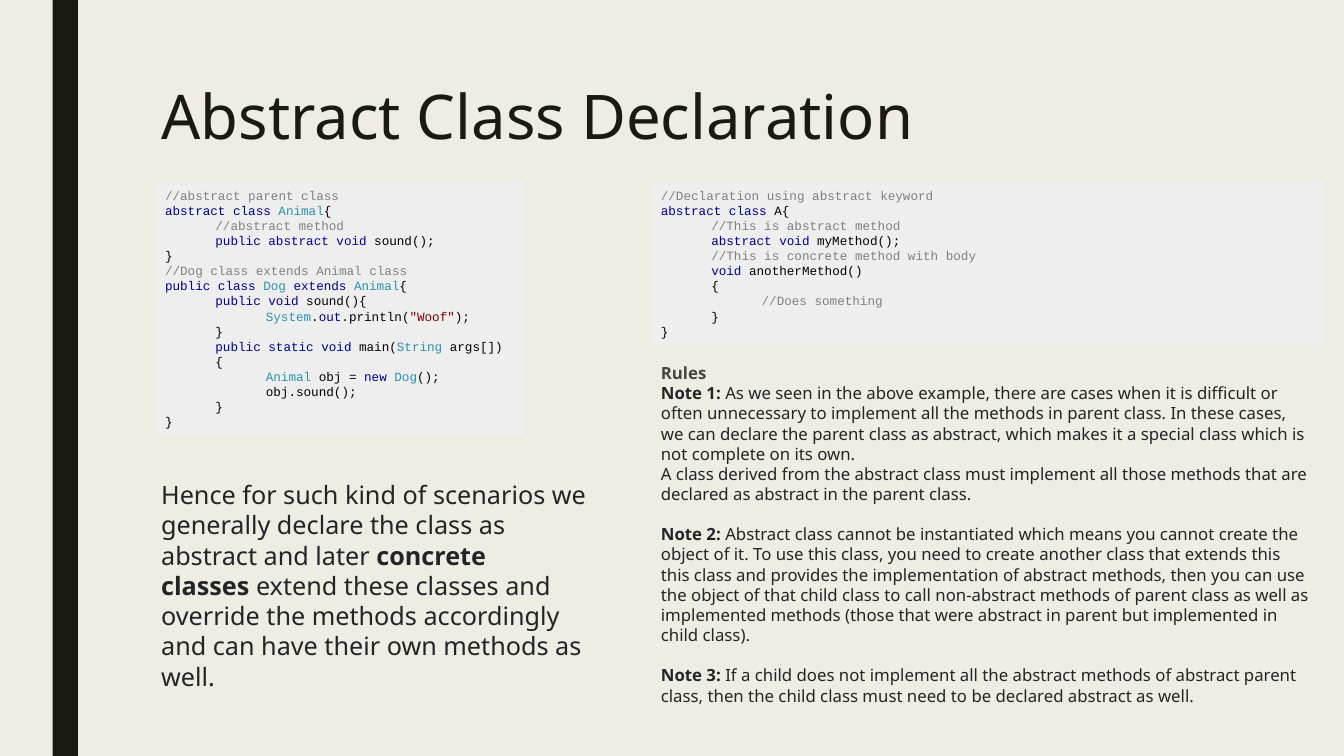
from pptx import Presentation
from pptx.dml.color import RGBColor as RGB
from pptx.enum.shapes import MSO_SHAPE as Form
from pptx.enum.text import MSO_ANCHOR as Anchor, MSO_AUTO_SIZE as Fit, PP_ALIGN as Align
from pptx.util import Pt

PAPER, DARK, PANEL = RGB(0xEF, 0xED, 0xE3), RGB(0x19, 0x1B, 0x0E), RGB(0xEE, 0xEE, 0xEE)
INK, HEAD = RGB(0x22, 0x24, 0x26), RGB(0x44, 0x45, 0x42)
NOTE, KEY, TYPE = RGB(0x80, 0x80, 0x80), RGB(0, 0, 0x8B), RGB(0x2B, 0x91, 0xAF)
TEXT, PLAIN = RGB(0x80, 0, 0), RGB(0, 0, 0)
SANS, MONO = "Noto Sans", "Courier New"
LEAD = 1.2  # line height as a share of the font size

TITLE = "Abstract Class Declaration"

# Each code line: indent level, then (text, colour) parts.
ANIMAL = [
    (0, ("//abstract parent class", NOTE)),
    (0, ("abstract class ", KEY), ("Animal", TYPE), ("{", PLAIN)),
    (1, ("//abstract method", NOTE)),
    (1, ("public abstract void", KEY), (" sound();", PLAIN)),
    (0, ("}", PLAIN)),
    (0, ("//Dog class extends Animal class", NOTE)),
    (0, ("public class ", KEY), ("Dog ", TYPE), ("extends ", KEY),
     ("Animal", TYPE), ("{", PLAIN)),
    (1, ("public void", KEY), (" sound(){", PLAIN)),
    (1, ("\tSystem", TYPE), (".", PLAIN), ("out", KEY), (".println(", PLAIN),
     ('"Woof"', TEXT), (");", PLAIN)),
    (1, ("}", PLAIN)),
    (1, ("public static void", KEY), (" main(", PLAIN), ("String", TYPE),
     (" args[])", PLAIN)),
    (1, ("{", PLAIN)),
    (1, ("\tAnimal", TYPE), (" obj = ", PLAIN), ("new ", KEY), ("Dog", TYPE),
     ("();", PLAIN)),
    (1, ("\tobj.sound();", PLAIN)),
    (1, ("}", PLAIN)),
    (0, ("}", PLAIN)),
]
METHOD = [
    (0, ("//Declaration using abstract keyword", NOTE)),
    (0, ("abstract class", KEY), (" A{", PLAIN)),
    (1, ("//This is abstract method", NOTE)),
    (1, ("abstract void ", KEY), ("myMethod();", PLAIN)),
    (1, ("//This is concrete method with body", NOTE)),
    (1, ("void ", KEY), ("anotherMethod()", PLAIN)),
    (1, ("{", PLAIN)),
    (1, ("\t//Does something", NOTE)),
    (1, ("}", PLAIN)),
    (0, ("}", PLAIN)),
]

# Each prose paragraph: blank lines above, then (text, colour, bold) parts.
HENCE = [
    (0, ("Hence for such kind of scenarios we generally declare the class as "
         "abstract and later\u00a0", INK, False),
     ("concrete classes", INK, True),
     ("\u00a0extend these classes and override the methods accordingly and can "
      "have their own methods as well.", INK, False)),
]
RULES = [
    (0, ("Rules", HEAD, True)),
    (0, ("Note 1:", INK, True),
     ("\u00a0As we seen in the above example, there are cases when it is difficult "
      "or often unnecessary to implement all the methods in parent class. In these "
      "cases, we can declare the parent class as abstract, which makes it a special "
      "class which is not complete on its own.", INK, False)),
    (0, ("A class derived from the abstract class must implement all those methods "
         "that are declared as abstract in the parent class.", INK, False)),
    (1, ("Note 2:", INK, True),
     ("\u00a0Abstract class cannot be instantiated which means you cannot create the "
      "object of it. To use this class, you need to create another class that extends "
      "this this class and provides the implementation of abstract methods, then you "
      "can use the object of that child class to call non-abstract methods of parent "
      "class as well as implemented methods (those that were abstract in parent but "
      "implemented in child class).", INK, False)),
    (1, ("Note 3:", INK, True),
     ("\u00a0If a child does not implement all the abstract methods of abstract parent "
      "class, then the child class must need to be declared abstract as well.",
      INK, False)),
]

WIDE, HIGH = 960, 540
LEFT, RIGHT, TOP = 108, 465, 129.6  # column edges and top of the code panels
SPAN = 480.24  # width of the right column


def place(box):
    """Turn a box in points into lengths."""
    return [Pt(side) for side in box]


def block(box, fill):
    """Add a plain filled rectangle."""
    shape = page.shapes.add_shape(Form.RECTANGLE, *place(box))
    shape.shadow.inherit = False
    shape.fill.solid()
    shape.fill.fore_color.rgb = fill
    shape.line.fill.background()
    return shape


def style(run, font, size, color, bold=False):
    """Format one run."""
    run.font.name, run.font.size, run.font.bold = font, Pt(size), bold
    run.font.color.rgb = color


def write(frame, lines, font, size):
    """Fill a frame with paragraphs of parts and yield each with its number."""
    frame.word_wrap = True
    for i, (num, *parts) in enumerate(lines):
        para = frame.paragraphs[0] if i == 0 else frame.add_paragraph()
        para.alignment = Align.LEFT
        para.line_spacing = Pt(size * LEAD)
        for text, *look in parts:
            run = para.add_run()
            run.text = text
            style(run, font, size, *look)
        yield para, num


def code(box, lines):
    """Add a code panel whose numbers are indent levels."""
    frame = block(box, PANEL).text_frame
    frame.vertical_anchor = Anchor.MIDDLE
    frame.margin_top = frame.margin_bottom = 0
    for para, level in write(frame, lines, MONO, 9):
        props = para._p.get_or_add_pPr()
        props.set("marL", str(Pt(36 * level)))
        props.set("indent", "0")


def prose(box, lines, size):
    """Add a text box whose numbers are blank lines above."""
    frame = page.shapes.add_textbox(*place(box)).text_frame
    for para, gap in write(frame, lines, SANS, size):
        para.space_before = Pt(gap * size * LEAD)


deck = Presentation()
deck.slide_width, deck.slide_height = Pt(WIDE), Pt(HIGH)
page = deck.slides.add_slide(deck.slide_layouts[5])
page.background.fill.solid()
page.background.fill.fore_color.rgb = PAPER

block((37.6, 0, 18, HIGH), DARK)

title = page.shapes.title
title.left, title.top, title.width, title.height = place((LEFT, 54, 756, 116.64))
frame = title.text_frame
frame.text = TITLE
frame.auto_size = Fit.NONE
frame.vertical_anchor = Anchor.TOP
head = frame.paragraphs[0]
head.alignment = Align.LEFT
head.line_spacing = Pt(51)
style(head.runs[0], SANS, 44, DARK)

code((110.8, TOP, 262.8, 181.44), ANIMAL)
prose((LEFT, 339, 329.76, 138.24), HENCE, 18)
code((RIGHT, TOP, SPAN, 116.64), METHOD)
prose((RIGHT, 255.6, SPAN, 239.76), RULES, 12)

deck.save("out.pptx")
